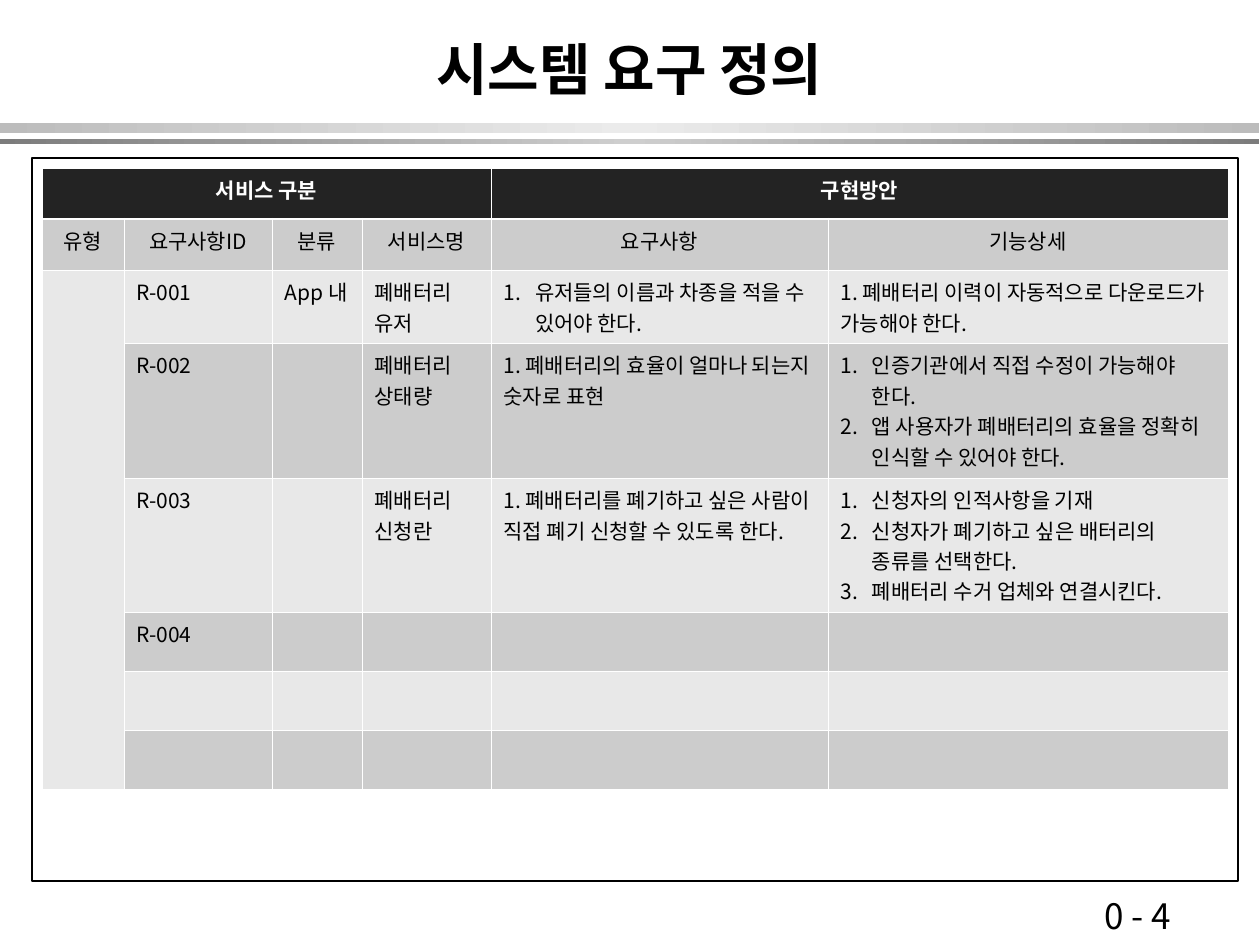
import copy
import pptx
import pptx.util
import pptx.oxml
import pptx.dml.color
import pptx.enum.shapes
import pptx.enum.text
import pptx.oxml.ns

PX = 914400 // 126
THEME = {
    "font": "Noto Sans CJK KR",
    "ink": "000000", "paper": "FFFFFF", "head": "232323",
    "dark": "CCCCCC", "light": "E8E8E8",
    "title": 32, "page": 20, "body": 12,
    "thin": 0.45, "thick": 1.47, "frame": 1,
}
TITLE = ("시스템 요구 정의", (94, 21, 1071, 95))
PAGE = ("0 - 4", (1092, 888, 147, 54))
BARS = [
    ((0, 123, 1259, 10), ("BCBCBC", "EBEBEB", "BCBCBC")),
    ((0, 139, 1259, 5), ("7C7C7C", "CECECE", "7C7C7C")),
]
FRAME = (32, 158, 1206, 723)
ORIGIN = (42, 168)
COLS = [82, 148, 90, 129, 337, 400]
ROWS = [51, 51, 73, 135, 134, 59, 59, 59]
SPANS = [((0, 0), (0, 3)), ((0, 4), (0, 5)), ((2, 0), (7, 0))]
# A list holds numbered items, a string holds plain text.
CELLS = [
    ["서비스 구분", "", "", "", "구현방안", ""],
    ["유형", "요구사항ID", "분류", "서비스명", "요구사항", "기능상세"],
    ["", "R-001", "App 내", "폐배터리 유저",
     ["유저들의 이름과 차종을 적을 수 있어야 한다."],
     "1. 폐배터리 이력이 자동적으로 다운로드가 가능해야 한다."],
    ["", "R-002", "", "폐배터리 상태량",
     "1. 폐배터리의 효율이 얼마나 되는지 숫자로 표현",
     ["인증기관에서 직접 수정이 가능해야 한다.",
      "앱 사용자가 폐배터리의 효율을 정확히 인식할 수 있어야 한다."]],
    ["", "R-003", "", "폐배터리 신청란",
     "1. 폐배터리를 폐기하고 싶은 사람이 직접 폐기 신청할 수 있도록 한다.",
     ["신청자의 인적사항을 기재",
      "신청자가 폐기하고 싶은 배터리의 종류를 선택한다.",
      "폐배터리 수거 업체와 연결시킨다."]],
    ["", "R-004", "", "", "", ""],
    [""] * 6,
    [""] * 6,
]
ALIGN = pptx.enum.text.PP_ALIGN
RECT = pptx.enum.shapes.MSO_SHAPE.RECTANGLE


def emu(box):
    return [n * PX for n in box]


def rgb(name):
    return pptx.dml.color.RGBColor.from_string(THEME.get(name, name))


def add(node, tag, **attrs):
    kid = pptx.oxml.parse_xml(f"<{tag} {pptx.oxml.ns.nsdecls('a')}/>")
    for key, val in attrs.items():
        kid.set(key, str(val))
    node.append(kid)
    return kid


def style(frame, size, ink="ink", bold=False, align=ALIGN.LEFT):
    for para in frame.paragraphs:
        para.alignment = align
        for run in para.runs:
            run.font.size = pptx.util.Pt(THEME[size])
            run.font.name = THEME["font"]
            run.font.bold = bold
            run.font.color.rgb = rgb(ink)
            add(run.font._element, "a:ea", typeface=THEME["font"])


def number(para):
    props = para._p.get_or_add_pPr()
    props.set("marL", "228600")
    props.set("indent", "-228600")
    add(add(props, "a:buClr"), "a:srgbClr", val=THEME["ink"])
    add(props, "a:buFont", typeface=THEME["font"])
    add(props, "a:buAutoNum", type="arabicPeriod")


def edge(cell, row):
    props = cell._tc.get_or_add_tcPr()
    for side in "LRTB":
        thick = (row, side) in ((0, "B"), (1, "T"))
        width = THEME["thick" if thick else "thin"]
        line = add(props, f"a:ln{side}", w=int(pptx.util.Pt(width)))
        add(add(line, "a:solidFill"), "a:srgbClr", val=THEME["paper"])


def add_bar(slide, box, tones):
    bar = slide.shapes.add_shape(RECT, *emu(box))
    bar.shadow.inherit = False
    bar.line.fill.background()
    bar.fill.gradient()
    bar.fill.gradient_angle = 0
    stop = bar.fill._fill._gradFill.gsLst[0]
    stop.addnext(copy.deepcopy(stop))
    for i, (stop, tone) in enumerate(zip(bar.fill.gradient_stops, tones)):
        stop.position = i / 2
        stop.color.rgb = rgb(tone)


def add_grid(slide):
    box = emu((*ORIGIN, sum(COLS), sum(ROWS)))
    grid = slide.shapes.add_table(len(ROWS), len(COLS), *box).table
    grid.first_row = grid.horz_banding = False
    for col, width in zip(grid.columns, COLS):
        col.width = width * PX
    for row, height in zip(grid.rows, ROWS):
        row.height = height * PX
    for first, last in SPANS:
        grid.cell(*first).merge(grid.cell(*last))
    for r, texts in enumerate(CELLS):
        for c, text in enumerate(texts):
            cell = grid.cell(r, c)
            edge(cell, r)
            cell.fill.solid()
            cell.fill.fore_color.rgb = rgb("head" if r == 0 else "dark" if r % 2 else "light")
            items = isinstance(text, list)
            cell.text_frame.text = "\n".join(text) if items else text
            style(cell.text_frame, "body", "ink" if r else "paper", r == 0,
                  ALIGN.CENTER if r < 2 else ALIGN.LEFT)
            if items:
                for para in cell.text_frame.paragraphs:
                    number(para)


def main():
    deck = pptx.Presentation()
    deck.slide_width, deck.slide_height = emu((1260, 945))
    slide = deck.slides.add_slide(deck.slide_layouts[5])

    for box, tones in BARS:
        add_bar(slide, box, tones)

    frame = slide.shapes.add_shape(RECT, *emu(FRAME))
    frame.shadow.inherit = False
    frame.fill.background()
    frame.line.color.rgb = rgb("ink")
    frame.line.width = pptx.util.Pt(THEME["frame"])

    text, box = PAGE
    page = slide.shapes.add_textbox(*emu(box)).text_frame
    page.word_wrap = True
    page.text = text
    style(page, "page")

    text, box = TITLE
    title = slide.shapes.title
    title.left, title.top, title.width, title.height = emu(box)
    title.text_frame.text = text
    title.text_frame.vertical_anchor = pptx.enum.text.MSO_ANCHOR.MIDDLE
    style(title.text_frame, "title", bold=True, align=ALIGN.CENTER)

    add_grid(slide)
    deck.save("out.pptx")


if __name__ == "__main__":
    main()
